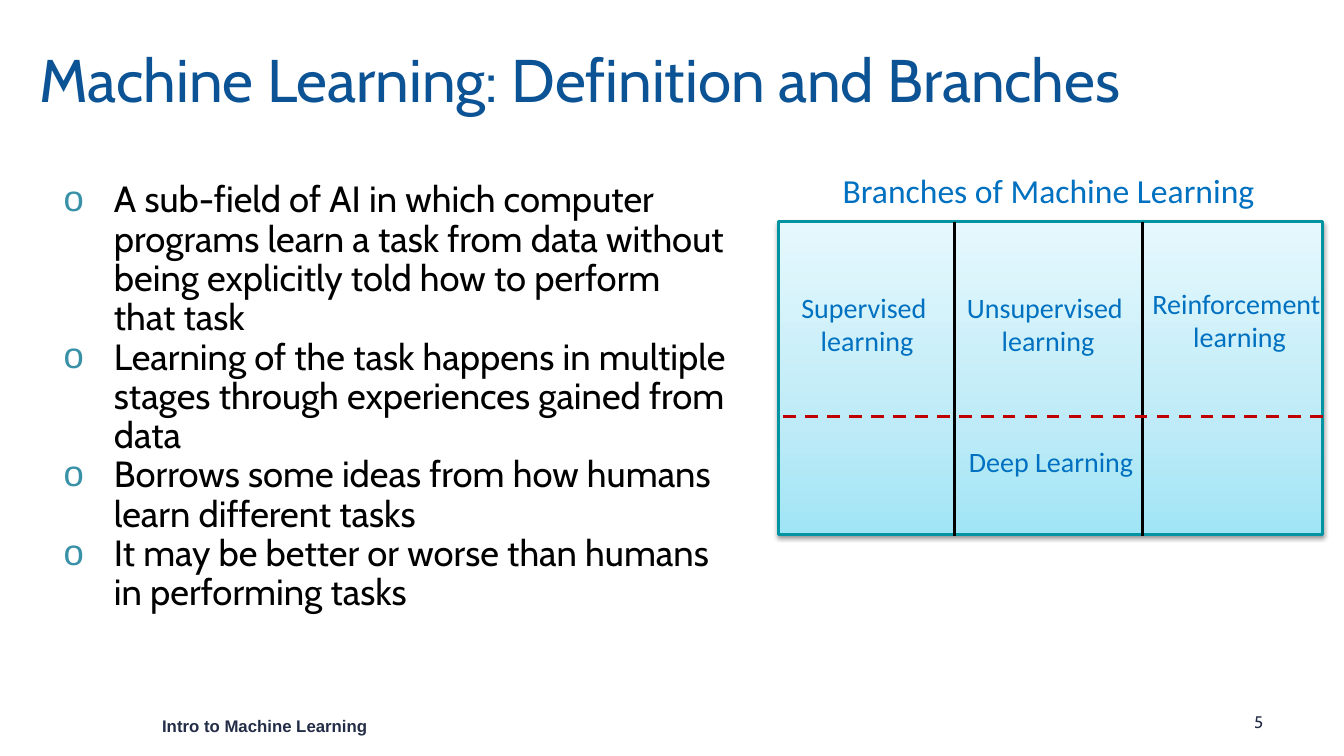
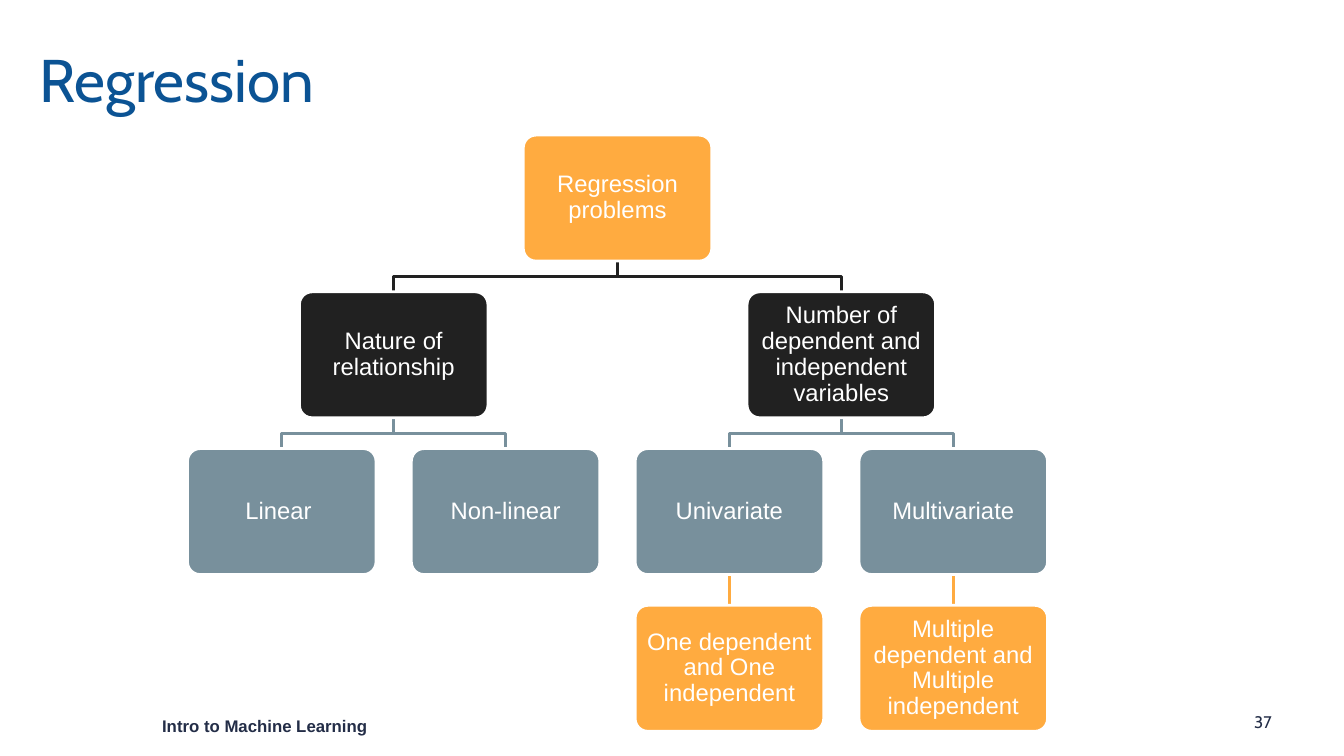
from copy import deepcopy

from lxml import etree
from pptx import Presentation
from pptx.dml.color import RGBColor
from pptx.enum.dml import MSO_LINE
from pptx.enum.shapes import MSO_CONNECTOR, MSO_SHAPE
from pptx.enum.text import MSO_ANCHOR, MSO_AUTO_SIZE, PP_ALIGN
from pptx.oxml import parse_xml
from pptx.oxml.ns import qn
from pptx.util import Inches, Pt

LEFT, MID = PP_ALIGN.LEFT, PP_ALIGN.CENTER
TOP, CENTER = MSO_ANCHOR.TOP, MSO_ANCHOR.MIDDLE
RECT, ROUND = MSO_SHAPE.RECTANGLE, MSO_SHAPE.ROUNDED_RECTANGLE
LINE, DASH = MSO_CONNECTOR.STRAIGHT, MSO_LINE.DASH
FIXED = MSO_AUTO_SIZE.NONE
NS = 'xmlns:a="http://schemas.openxmlformats.org/drawingml/2006/main"'
HEX = {
    "title": "0B5394", "foot": "232D47", "text": "000000", "bullet": "3891A7",
    "label": "0070C0", "frame": "0094A3", "cut": "C00000", "white": "FFFFFF",
    "low": "A0E5F5", "mid": "BEEBF7", "high": "E5F8FD",
    "amber": "FFAB40", "dark": "212121", "slate": "78909C",
}
LEVELS = ["amber", "dark", "slate", "amber"]
POINTS = [
    "A sub-field of AI in which computer programs learn a task from data "
    "without being explicitly told how to perform that task",
    "Learning of the task happens in multiple stages through experiences "
    "gained from data",
    "Borrows some ideas from how humans learn different tasks",
    "It may be better or worse than humans in performing tasks",
]
TREE = ("Regression problems", [
    ("Nature of relationship", [("Linear ", []), ("Non-linear", [])]),
    ("Number of dependent and independent variables", [
        ("Univariate", [("One dependent and One independent", [])]),
        ("Multivariate", [("Multiple dependent and Multiple independent", [])]),
    ]),
])


def rgb(name):
    """Return the named colour."""
    return RGBColor.from_string(HEX[name])


def place(shape, box):
    """Move a shape to a box given in inches."""
    shape.left, shape.top, shape.width, shape.height = map(Inches, box)


def write(shape, text, size, font, color, align=LEFT, anchor=TOP,
          bold=False, space=1.0, wrap=True):
    """Fill a shape with text in one style."""
    frame = shape.text_frame
    frame.text = text
    frame.word_wrap = wrap
    frame.auto_size = FIXED
    frame.vertical_anchor = anchor
    for para in frame.paragraphs:
        para.alignment = align
        para.line_spacing = space
        para.space_before = Pt(0)
        for run in para.runs:
            run.font.size, run.font.name, run.font.bold = Pt(size), font, bold
            run.font.color.rgb = rgb(color)


def label(slide, box, text, size, font, color, **style):
    """Add a text box."""
    write(slide.shapes.add_textbox(*map(Inches, box)),
          text, size, font, color, **style)


def rule(slide, start, end, color, width=2.25):
    """Draw a straight line between two points."""
    line = slide.shapes.add_connector(LINE, *map(Inches, (*start, *end)))
    line.line.color.rgb = rgb(color)
    line.line.width = Pt(width)
    etree.SubElement(line._element.spPr, qn("a:effectLst"))
    return line


def base(deck, layout, title, number):
    """Start a slide with its title, footer and page number."""
    slide = deck.slides.add_slide(deck.slide_layouts[layout])
    place(slide.shapes.title, (0.29, 0.1, 11.5, 1.45))
    write(slide.shapes.title, title, 43, "Cabin", "title",
          anchor=CENTER, space=0.9)
    label(slide, (1.51, 7.05, 2.63, 0.3), "Intro to Machine Learning",
          12, "Arial", "foot", bold=True)
    label(slide, (12.34, 7.01, 0.67, 0.3), str(number), 12, "Cabin", "foot")
    return slide


def bullets(slide, box, points):
    """Fill the body placeholder with a bulleted list."""
    body = slide.placeholders[1]
    place(body, box)
    write(body, "\n".join(points), 26, "Cabin", "text", space=0.9)
    for para in body.text_frame.paragraphs:
        props = para._p.get_or_add_pPr()
        props.set("marL", str(Inches(0.5)))
        props.set("indent", str(Inches(-0.5)))
        for mark in (
            f'<a:buClr {NS}><a:srgbClr val="{HEX["bullet"]}"/></a:buClr>',
            f'<a:buFont {NS} typeface="Arial"/>',
            f'<a:buChar {NS} char="o"/>',
        ):
            props.append(parse_xml(mark))


def panel(slide, box):
    """Draw the shaded frame with its soft shadow."""
    frame = slide.shapes.add_shape(RECT, *map(Inches, box))
    frame.line.color.rgb = rgb("frame")
    frame.line.width = Pt(2.25)
    frame.fill.gradient()
    frame.fill.gradient_angle = 90
    props = frame._element.spPr
    stops = props.find(".//" + qn("a:gsLst"))
    stops.insert(1, deepcopy(stops[0]))
    shades = zip(frame.fill.gradient_stops, (0, 0.35, 1), ("low", "mid", "high"))
    for stop, spot, color in shades:
        stop.position = spot
        stop.color.rgb = rgb(color)
    props.append(parse_xml(
        f'<a:effectLst {NS}><a:outerShdw blurRad="{Pt(3.1)}" dist="{Pt(1.6)}" '
        'dir="5400000" rotWithShape="0"><a:srgbClr val="000000">'
        '<a:alpha val="38000"/></a:srgbClr></a:outerShdw></a:effectLst>'))


def branches(slide, box):
    """Draw the three branches with deep learning across them."""
    left, top, width, height = box
    panel(slide, box)
    for gap in (1.75, 3.61):
        rule(slide, (left + gap, top), (left + gap, top + height + 0.02), "text")
    label(slide, (left + 0.54, top - 0.56, 4.33, 0.5),
          "Branches of Machine Learning", 24, "Calibri", "label", wrap=False)
    for text, x, y, wide in (
        ("Supervised \nlearning", 0.12, 0.63, 1.52),
        ("Unsupervised \nlearning", 1.76, 0.63, 1.83),
        ("Reinforcement \nlearning", 3.59, 0.59, 1.97),
        ("Deep Learning", 1.78, 2.16, 1.85),
    ):
        tall = 0.77 if "\n" in text else 0.44
        label(slide, (left + x, top + y, wide, tall), text,
              20, "Calibri", "label", align=MID, wrap=False)
    cut = top + 1.93
    rule(slide, (left + width, cut), (left, cut), "cut").line.dash_style = DASH


def link(slide, start, end, color):
    """Join two nodes, with a bend halfway when they are not in line."""
    (x, y), (to, low) = start, end
    if abs(x - to) < 0.01:
        rule(slide, start, end, color, 2)
        return
    half = (y + low) / 2
    pen = slide.shapes.build_freeform(Inches(x), Inches(y))
    pen.add_line_segments(
        [(Inches(a), Inches(b)) for a, b in ((x, half), (to, half), end)],
        close=False)
    bend = pen.convert_to_shape()
    bend.shadow.inherit = False
    bend.fill.background()
    bend.line.color.rgb = rgb(color)
    bend.line.width = Pt(2)


def node(slide, box, text, color):
    """Draw one rounded box of the tree."""
    card = slide.shapes.add_shape(ROUND, *map(Inches, box))
    card.adjustments[0] = 0.1
    card.shadow.inherit = False
    card.fill.solid()
    card.fill.fore_color.rgb = rgb(color)
    card.line.color.rgb = rgb("white")
    card.line.width = Pt(2)
    frame = card.text_frame
    frame.margin_left = frame.margin_right = Inches(0.07)
    frame.margin_top = frame.margin_bottom = Inches(0.07)
    write(card, text, 17, "Arial", "white", MID, CENTER, space=0.9)


def leaves(kids):
    """Count the columns that a node needs."""
    return sum(leaves(kid[1]) for kid in kids) or 1


def tree(slide, item, left, top, level=0):
    """Draw a node centred above its children and return its centre."""
    wide, tall, pitch, step = 1.87, 1.25, 2.22, 1.555
    text, kids = item
    x = left + wide / 2 + (leaves(kids) - 1) * pitch / 2
    start = left
    for kid in kids:
        to = start + wide / 2 + (leaves(kid[1]) - 1) * pitch / 2
        link(slide, (x, top + tall), (to, top + step), LEVELS[level + 1])
        tree(slide, kid, start, top + step, level + 1)
        start += leaves(kid[1]) * pitch
    node(slide, (x - wide / 2, top, wide, tall), text, LEVELS[level])


def main():
    """Build and save both slides."""
    deck = Presentation()
    deck.slide_width, deck.slide_height = Inches(13.33), Inches(7.5)
    slide = base(deck, 1, "Machine Learning: Definition and Branches", 5)
    bullets(slide, (0.53, 1.75, 6.8, 4.76), POINTS)
    branches(slide, (7.72, 2.2, 5.4, 3.1))
    slide = base(deck, 5, "Regression", 37)
    tree(slide, TREE, 1.86, 1.34)
    deck.save("out.pptx")


main()
